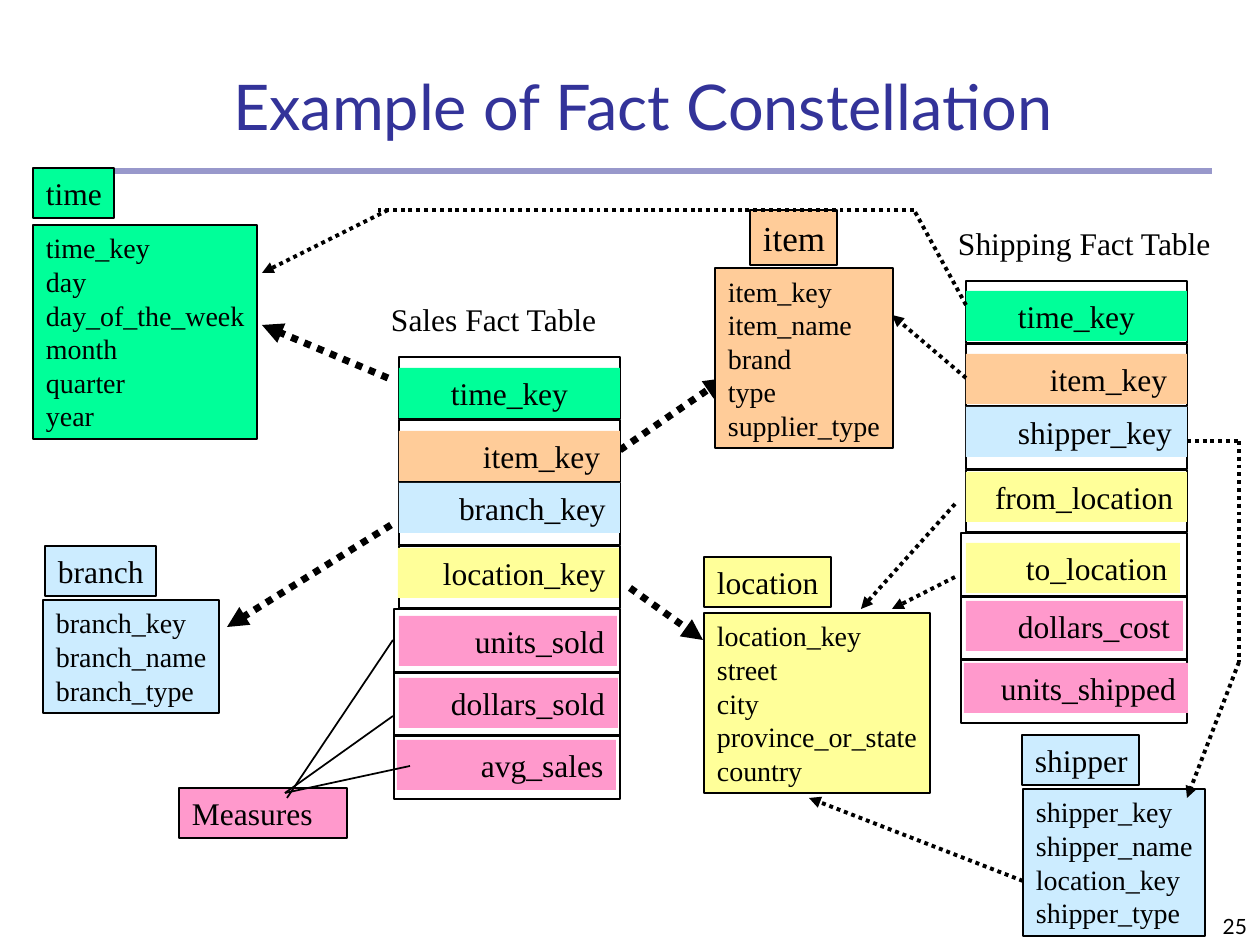
from lxml import etree
from pptx import Presentation
from pptx.dml.color import RGBColor
from pptx.enum.dml import MSO_LINE
from pptx.enum.shapes import MSO_CONNECTOR, MSO_SHAPE
from pptx.enum.text import MSO_ANCHOR, PP_ALIGN
from pptx.oxml.ns import qn
from pptx.util import Pt

RECT, STRAIGHT, DOTTED = MSO_SHAPE.RECTANGLE, MSO_CONNECTOR.STRAIGHT, MSO_LINE.ROUND_DOT
LEFT, CENTER, RIGHT = PP_ALIGN.LEFT, PP_ALIGN.CENTER, PP_ALIGN.RIGHT
TOP, BOTTOM = MSO_ANCHOR.TOP, MSO_ANCHOR.BOTTOM
SERIF, SANS = "Times New Roman", "Lato"
BLACK, NAVY = "000000", "333399"
GREEN, ORANGE, BLUE, YELLOW, PINK = "00FF99", "FFCC99", "CCECFF", "FFFF99", "FF99CC"
INSET_X, INSET_Y = 13, 6
ROW_STEP, BAND_HEIGHT = 63, 50
FIRST_WIDE_ROW = 4

# colour, (heading, left, top, width, height, size), (left, top, width, height), fields
DIMENSIONS = [
    (GREEN, ("time", 33, 168, 81, 50, 18), (33, 225, 224, 214),
     ["time_key", "day", "day_of_the_week", "month", "quarter", "year"]),
    (YELLOW, ("location", 704, 557, 127, 50, 18), (704, 613, 226, 180),
     ["location_key", "street", "city", "province_or_state", "country"]),
    (ORANGE, ("item", 750, 210, 87, 55, 20), (715, 268, 178, 180),
     ["item_key", "item_name", "brand", "type", "supplier_type"]),
    (BLUE, ("branch", 45, 546, 111, 50, 18), (43, 600, 176, 113),
     ["branch_key", "branch_name", "branch_type"]),
    (BLUE, ("shipper", 1022, 735, 117, 50, 18), (1023, 789, 182, 147),
     ["shipper_key", "shipper_name", "location_key", "shipper_type"]),
]

# text, colour, band offset from the row frame (x, y), band width, indent (None: centred)
SALES_ROWS = [
    ("time_key", GREEN, 0, 11, 221, None),
    ("item_key", ORANGE, 0, 11, 221, 71),
    ("branch_key", BLUE, 0, 0, 221, 47),
    ("location_key", YELLOW, -1, 2, 221, 32),
    ("units_sold", PINK, 0, 7, 218, 63),
    ("dollars_sold", PINK, 0, 6, 219, 39),
    ("avg_sales", PINK, -2, 5, 219, 71),
]
SHIPPING_ROWS = [
    ("time_key", GREEN, 0, 10, 221, None),
    ("item_key", ORANGE, 0, 10, 221, 71),
    ("shipper_key", BLUE, 0, 0, 221, 39),
    ("from_location", YELLOW, 0, 2, 221, 16),
    ("to_location", YELLOW, 0, 10, 214, 47),
    ("dollars_cost", PINK, 0, 5, 217, 39),
    ("units_shipped", PINK, -2, 4, 224, 24),
]

# x1, y1, x2, y2
MEASURE_LINES = [(287, 798, 393, 640), (285, 793, 393, 716), (285, 793, 410, 766)]
SALES_ARROWS = [(391, 525, 227, 627), (388, 378, 262, 325),
                (630, 588, 703, 640), (620, 450, 725, 378)]
SHIPPING_LINES = [(966, 305, 914, 210), (914, 210, 378, 210),
                  (1239, 441, 1239, 662), (1187, 441, 1239, 441)]
SHIPPING_ARROWS = [(388, 210, 262, 273), (966, 378, 892, 315), (955, 504, 861, 609),
                   (955, 577, 892, 609), (1239, 662, 1187, 798), (1023, 881, 809, 798)]


def px(value):
    return round(value * 914400 / 126)


def rgb(color):
    return RGBColor.from_string(color)


def write(s, lines, size, font=SERIF, color=BLACK, align=LEFT, anchor=TOP, indent=0):
    tf = s.text_frame
    tf.word_wrap = True
    tf.vertical_anchor = anchor
    tf.margin_left = px(INSET_X + indent)
    tf.margin_right = px(INSET_X if align != LEFT else 0)
    tf.margin_top = tf.margin_bottom = px(INSET_Y)
    tf.text = "\n".join(lines)
    for p in tf.paragraphs:
        p.alignment = align
        p.font.size, p.font.name = Pt(size), font
        p.font.color.rgb = rgb(color)


def add_box(slide, left, top, width, height, fill=None, line=None):
    """Add a rectangle; fill is a colour and line a width in points."""
    s = slide.shapes.add_shape(RECT, px(left), px(top), px(width), px(height))
    s.shadow.inherit = False
    if fill:
        s.fill.solid()
        s.fill.fore_color.rgb = rgb(fill)
    else:
        s.fill.background()
    if line:
        s.line.color.rgb = rgb(BLACK)
        s.line.width = Pt(line)
    else:
        s.line.fill.background()
    return s


def add_label(slide, text, left, top, width, height, size=18, **style):
    s = slide.shapes.add_textbox(px(left), px(top), px(width), px(height))
    write(s, [text], size, **style)


def add_line(slide, ends, width, dotted=True, arrow=False):
    c = slide.shapes.add_connector(STRAIGHT, *map(px, ends))
    c.line.color.rgb = rgb(BLACK)
    c.line.width = Pt(width)
    if dotted:
        c.line.dash_style = DOTTED
    spPr = c._element.spPr
    if arrow:
        etree.SubElement(spPr.find(qn("a:ln")), qn("a:tailEnd"), type="triangle")
    etree.SubElement(spPr, qn("a:effectLst"))


def add_dimension(slide, color, heading, body, fields):
    name, left, top, width, height, size = heading
    write(add_box(slide, *body, color, 0.75), fields, 16)
    write(add_box(slide, left, top, width, height, color, 0.75), [name], size)


def add_fact_table(slide, left, top, rows):
    for i, (text, color, dx, dy, width, indent) in enumerate(rows):
        y = top + i * ROW_STEP
        if i < FIRST_WIDE_ROW:
            add_box(slide, left, y, 221, 62, line=1)
        else:
            add_box(slide, left - 5, y, 226, 64, line=1)
        band = add_box(slide, left + dx, y + dy, width, BAND_HEIGHT, color)
        if indent is None:
            write(band, [text], 18, align=CENTER)
        else:
            write(band, [text], 18, indent=indent)


def add_title(slide, text):
    s = slide.shapes.title
    s.left, s.top, s.width, s.height = map(px, (220, 53, 889, 96))
    write(s, [text], 36, SANS, NAVY, anchor=BOTTOM)


def add_title_rule(slide):
    rule = add_box(slide, 53, 168, 1159, 6, NAVY)
    color = rule._element.spPr.find(qn("a:solidFill"))[0]
    etree.SubElement(color, qn("a:alpha"), val="50000")


def main():
    prs = Presentation()
    prs.slide_width, prs.slide_height = px(1260), px(945)
    slide = prs.slides.add_slide(prs.slide_layouts[5])

    add_title_rule(slide)
    add_title(slide, "Example of Fact Constellation")
    add_label(slide, "25", 1206, 882, 54, 63, 12, font=SANS, align=RIGHT, anchor=BOTTOM)
    for ends in SALES_ARROWS:
        add_line(slide, ends, 4, arrow=True)
    for dimension in DIMENSIONS:
        add_dimension(slide, *dimension)

    add_label(slide, "Sales Fact Table", 378, 294, 233, 50)
    add_fact_table(slide, 399, 357, SALES_ROWS)
    add_label(slide, "Shipping Fact Table", 945, 218, 281, 50)
    add_fact_table(slide, 966, 281, SHIPPING_ROWS)

    write(add_box(slide, 179, 788, 168, 50, PINK, 0.75), ["Measures"], 18)
    for ends in MEASURE_LINES:
        add_line(slide, ends, 1, dotted=False)
    for ends in SHIPPING_LINES:
        add_line(slide, ends, 2.25)
    for ends in SHIPPING_ARROWS:
        add_line(slide, ends, 2.25, arrow=True)
    prs.save("out.pptx")


if __name__ == "__main__":
    main()
